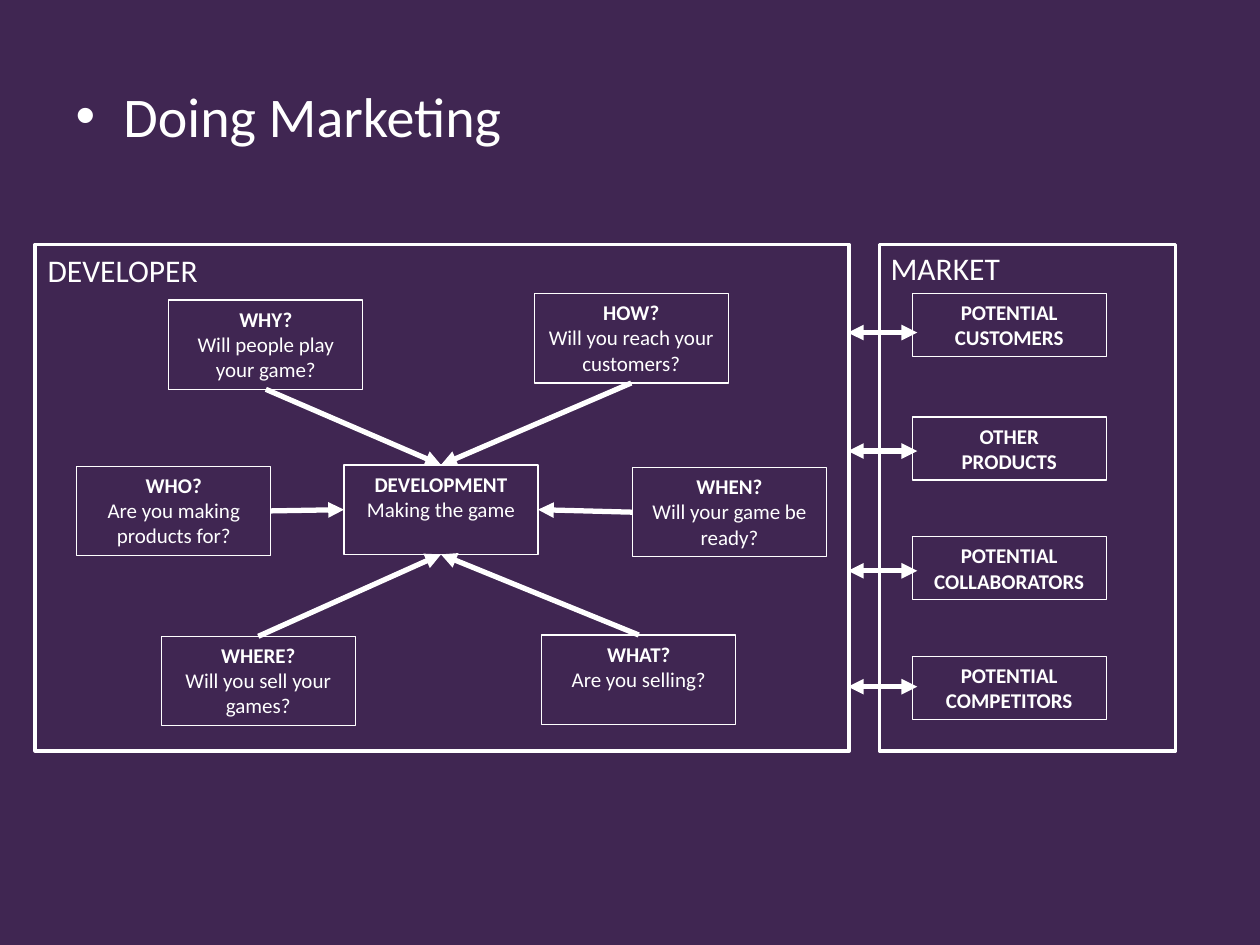
from lxml import etree
from pptx import Presentation
from pptx import util as u
from pptx.dml.color import RGBColor
from pptx.enum import shapes, text
from pptx.oxml.ns import qn

WHITE = "FFFFFF"
PURPLE = "402652"
BOX_WIDTH = 1.54
QUESTION_HEIGHT = 0.71
MARKET_HEIGHT = 0.5
TOP, LEFT, BOTTOM, RIGHT = range(4)

DEVELOPMENT = (2.73, 3.69, "DEVELOPMENT", "Making the game")
QUESTIONS = [
    (0.61, 3.7, "WHO?", "Are you making products for?", RIGHT, LEFT),
    (1.34, 2.38, "WHY?", "Will people play your game?", BOTTOM, TOP),
    (4.24, 2.33, "HOW?", "Will you reach your customers?", BOTTOM, TOP),
    (1.28, 5.05, "WHERE?", "Will you sell your games?", TOP, BOTTOM),
    (5.02, 3.71, "WHEN?", "Will your game be ready?", LEFT, RIGHT),
    (4.3, 5.04, "WHAT?", "Are you selling?", TOP, BOTTOM),
]
MARKET = [
    (2.33, 2.64, "POTENTIAL", "CUSTOMERS"),
    (3.31, 3.58, "OTHER", "PRODUCTS"),
    (4.26, 4.53, "POTENTIAL", "COLLABORATORS"),
    (5.21, 5.45, "POTENTIAL", "COMPETITORS"),
]


def color(value):
    return RGBColor.from_string(value)


def inches(*lengths):
    return [u.Inches(length) for length in lengths]


def write(para, words, size=12, bold=False, align=None):
    para.alignment = align
    span = para.add_run()
    span.text = words
    span.font.name = "Calibri"
    span.font.size = u.Pt(size)
    span.font.bold = bold
    span.font.color.rgb = color(WHITE)


def add_rectangle(page, left, top, width, height, line_width):
    box = page.shapes.add_shape(
        shapes.MSO_SHAPE.RECTANGLE, *inches(left, top, width, height))
    box.shadow.inherit = False
    box.fill.background()
    box.line.color.rgb = color(WHITE)
    box.line.width = u.Pt(line_width)
    return box


def add_card(page, left, top, height, heading, detail, bold_detail=False):
    box = add_rectangle(page, left, top, BOX_WIDTH, height, 0.75)
    frame = box.text_frame
    frame.word_wrap = True
    frame.vertical_anchor = text.MSO_ANCHOR.TOP
    center = text.PP_ALIGN.CENTER
    write(frame.paragraphs[0], heading, bold=True, align=center)
    write(frame.add_paragraph(), detail, bold=bold_detail, align=center)
    return box


def add_arrow(page, start=(0, 0), end=(0, 0), both=False):
    arrow = page.shapes.add_connector(
        shapes.MSO_CONNECTOR.STRAIGHT, *inches(*start, *end))
    arrow.line.color.rgb = color(WHITE)
    arrow.line.width = u.Pt(3)
    line = arrow.line._get_or_add_ln()
    for tag in ("a:headEnd", "a:tailEnd") if both else ("a:tailEnd",):
        etree.SubElement(line, qn(tag), type="triangle")
    etree.SubElement(arrow._element.spPr, qn("a:effectLst"))
    return arrow


def add_label(page, left, top, width, words):
    box = page.shapes.add_textbox(*inches(left, top, width, 0.4))
    box.text_frame.word_wrap = False
    write(box.text_frame.paragraphs[0], words, size=18)


def add_heading(page, words):
    title = page.shapes.title
    title._element.getparent().remove(title._element)
    body = page.placeholders[1]
    body.left, body.top, body.width, body.height = inches(0.5, 0.6, 9, 6.54)
    para = body.text_frame.paragraphs[0]
    para.space_before = u.Pt(0)
    props = para._p.get_or_add_pPr()
    props.set("marL", str(u.Inches(0.38)))
    props.set("indent", str(u.Inches(-0.38)))
    bullet_color = etree.SubElement(props, qn("a:buClr"))
    etree.SubElement(bullet_color, qn("a:srgbClr"), val=WHITE)
    etree.SubElement(props, qn("a:buFont"), typeface="Arial")
    etree.SubElement(props, qn("a:buChar"), char="•")
    write(para, words, size=32)


def add_developer(page):
    boxes = [add_card(page, left, top, QUESTION_HEIGHT, heading, detail)
             for left, top, heading, detail, _, _ in QUESTIONS]
    left, top, heading, detail = DEVELOPMENT
    hub = add_card(page, left, top, QUESTION_HEIGHT, heading, detail)
    for box, question in zip(boxes, QUESTIONS):
        arrow = add_arrow(page)
        arrow.begin_connect(box, question[4])
        arrow.end_connect(hub, question[5])
    add_rectangle(page, 0.28, 1.94, 6.46, 4.02, 2)


def add_market(page):
    for top, arrow_y, first, second in MARKET:
        add_card(page, 7.24, top, MARKET_HEIGHT, first, second, bold_detail=True)
        add_arrow(page, (7.28, arrow_y), (6.73, arrow_y), both=True)
    add_rectangle(page, 6.98, 1.94, 2.35, 4.02, 2)


def main():
    deck = Presentation()
    deck.slide_width, deck.slide_height = inches(10, 7.5)
    page = deck.slides.add_slide(deck.slide_layouts[1])
    page.background.fill.solid()
    page.background.fill.fore_color.rgb = color(PURPLE)
    add_heading(page, "Doing Marketing")
    add_developer(page)
    add_market(page)
    add_label(page, 6.97, 1.93, 1.1, "MARKET")
    add_label(page, 0.28, 1.94, 1.4, "DEVELOPER")
    deck.save("out.pptx")


if __name__ == "__main__":
    main()
